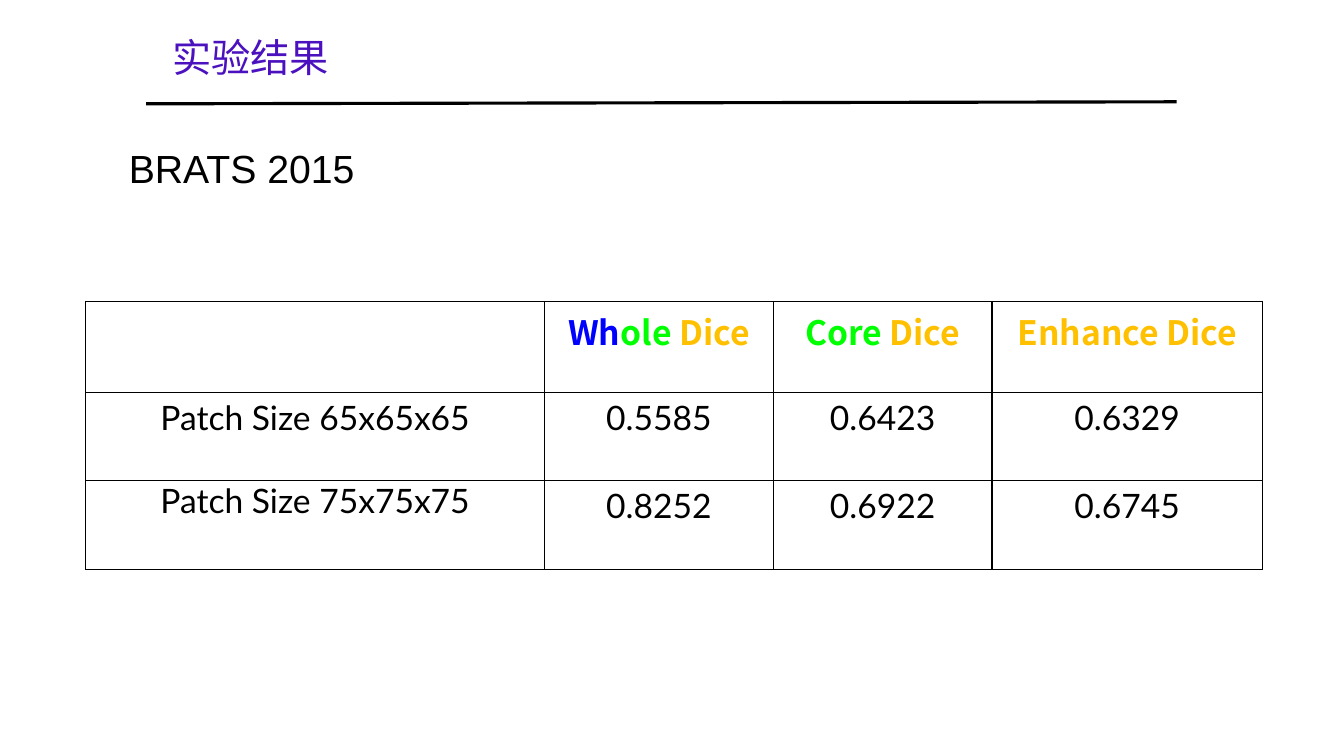
from lxml import etree
from pptx import Presentation
from pptx.dml.color import RGBColor
from pptx.enum.shapes import MSO_CONNECTOR
from pptx.enum.text import MSO_ANCHOR, MSO_AUTO_SIZE, PP_ALIGN
from pptx.oxml.ns import qn
from pptx.util import Inches, Pt

LEFT, CENTER = PP_ALIGN.LEFT, PP_ALIGN.CENTER
TOP = MSO_ANCHOR.TOP
GROW = MSO_AUTO_SIZE.SHAPE_TO_FIT_TEXT
STRAIGHT = MSO_CONNECTOR.STRAIGHT

THEME = {
    "black": "000000", "white": "FFFFFF", "purple": "4B11BF",
    "blue": "0000FF", "green": "00FF00", "amber": "FFC000",
    "heading_size": 28, "table_size": 24,
    "latin": "Lato", "plain": "Arial", "cjk": "Noto Sans CJK SC",
}


def add_text(p, text, size="table_size", font="latin", color="black", bold=False, align=LEFT):
    p.alignment = align
    r = p.add_run()
    r.text = text
    r.font.size = Pt(THEME[size])
    r.font.bold = bold
    r.font.color.rgb = RGBColor.from_string(THEME[color])
    r.font.name = THEME[font]
    latin = r.font._element.find(qn("a:latin"))
    latin.addnext(etree.Element(qn("a:ea"), typeface=THEME["cjk"]))


def set_borders(cell, color, width):
    tcPr = cell._tc.get_or_add_tcPr()
    for side in ("a:lnL", "a:lnR", "a:lnT", "a:lnB"):
        ln = etree.SubElement(tcPr, qn(side), w=str(Pt(width)))
        fill = etree.SubElement(ln, qn("a:solidFill"))
        etree.SubElement(fill, qn("a:srgbClr"), val=THEME[color])


prs = Presentation()
prs.slide_width, prs.slide_height = Inches(13.33), Inches(7.5)
slide = prs.slides.add_slide(prs.slide_layouts[5])

# Rule under the title
rule = slide.shapes.add_connector(STRAIGHT, Inches(1.45), Inches(1.03), Inches(11.67), Inches(1.01))
rule.line.color.rgb = RGBColor.from_string(THEME["black"])
rule.line.width = Pt(2.25)
etree.SubElement(rule._element.spPr, qn("a:effectLst"))

# Title and data set name
title = slide.shapes.title
title.left, title.top, title.width, title.height = map(Inches, (1.61, 0.28, 2.64, 0.57))
dataset = slide.shapes.add_textbox(Inches(1.18), Inches(1.38), Inches(3.74), Inches(0.57))
for sp, text, font, color in (
    (title, "实验结果", "latin", "purple"),
    (dataset, "BRATS 2015", "plain", "black"),
):
    tf = sp.text_frame
    tf.word_wrap = True
    tf.auto_size = GROW
    tf.vertical_anchor = TOP
    add_text(tf.paragraphs[0], text, size="heading_size", font=font, color=color)

# Dice score table
header = [
    [],
    [("Wh", "blue"), ("ole ", "green"), ("Dice", "amber")],
    [("Core ", "green"), ("Dice", "amber")],
    [("Enhance Dice", "amber")],
]
scores = [
    ["Patch Size 65x65x65", "0.5585", "0.6423", "0.6329"],
    ["Patch Size 75x75x75", "0.8252", "0.6922", "0.6745"],
]
rows = [header] + [[[(text, "black")] for text in row] for row in scores]
table = slide.shapes.add_table(
    len(rows), len(header), Inches(0.85), Inches(2.99), Inches(11.67), Inches(2.66)
).table
for column, width in zip(table.columns, (4.55, 2.27, 2.17, 2.68)):
    column.width = Inches(width)
for row, height in zip(table.rows, (0.9, 0.88, 0.88)):
    row.height = Inches(height)

for i, row in enumerate(rows):
    for j, runs in enumerate(row):
        cell = table.cell(i, j)
        set_borders(cell, "black", 1)
        cell.fill.solid()
        cell.fill.fore_color.rgb = RGBColor.from_string(THEME["white"])
        for text, color in runs:
            add_text(cell.text_frame.paragraphs[0], text, color=color, align=CENTER,
                     font="cjk" if i == 0 else "latin", bold=i == 0)

# The last row label sits tight against the top of its cell
label = table.cell(2, 0)
label.margin_left = label.margin_right = Inches(0.07)
label.margin_top = label.margin_bottom = 0

prs.save("out.pptx")
